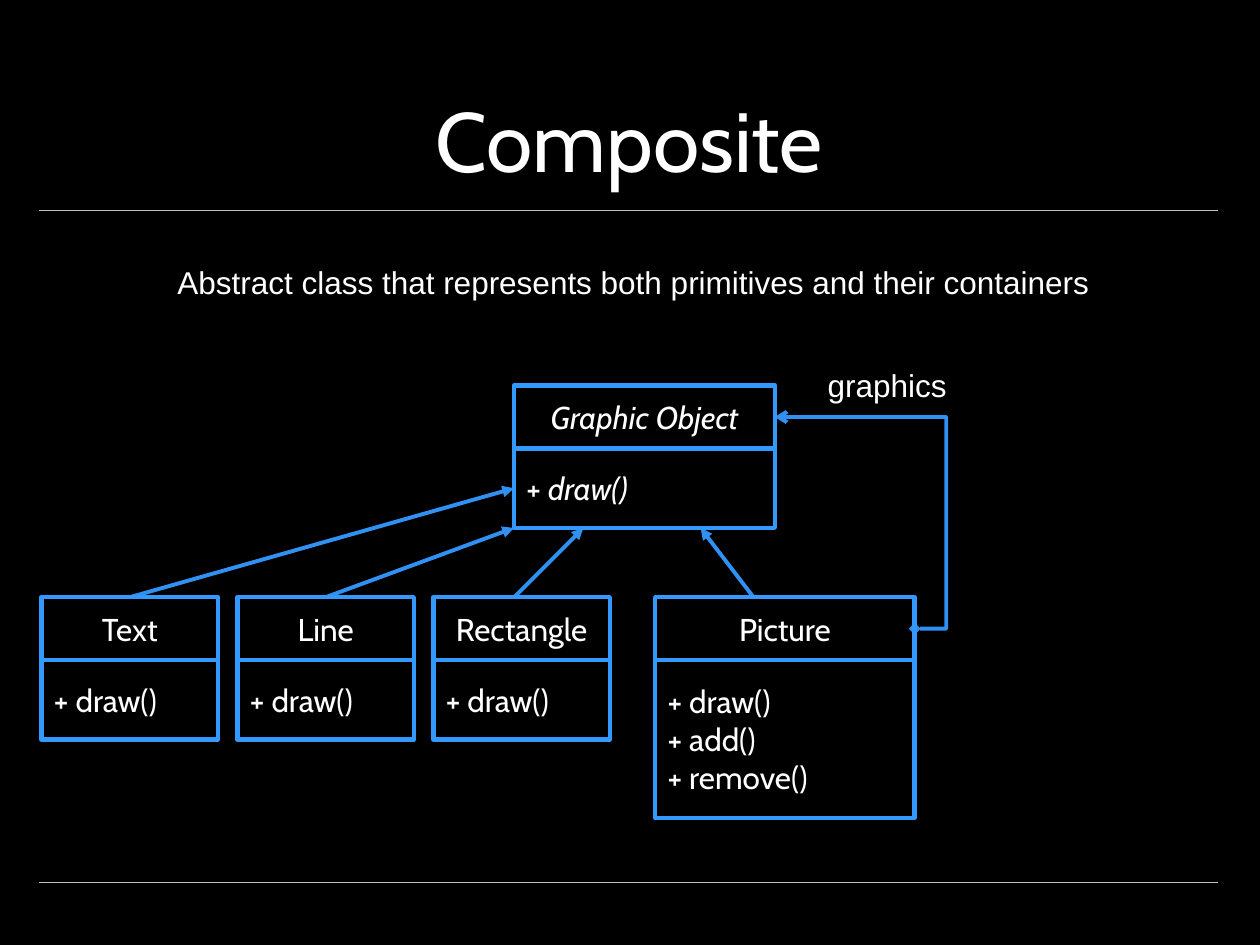
from lxml import etree
from pptx import Presentation
from pptx.dml.color import RGBColor
from pptx.enum.shapes import MSO_CONNECTOR, MSO_SHAPE
from pptx.enum.text import MSO_ANCHOR, MSO_AUTO_SIZE, PP_ALIGN
from pptx.oxml.ns import qn
from pptx.util import Inches, Pt

BLACK = RGBColor(0x00, 0x00, 0x00)
WHITE = RGBColor(0xFF, 0xFF, 0xFF)
GREY = RGBColor(0xBF, 0xBF, 0xBF)
BLUE = RGBColor(0x33, 0x99, 0xFF)
STRAIGHT, ELBOW = MSO_CONNECTOR.STRAIGHT, MSO_CONNECTOR.ELBOW
RECTANGLE = MSO_SHAPE.RECTANGLE
LEFT, CENTER = PP_ALIGN.LEFT, PP_ALIGN.CENTER
MIDDLE, BOTTOM = MSO_ANCHOR.MIDDLE, MSO_ANCHOR.BOTTOM
TOP_SIDE, LEFT_SIDE, RIGHT_SIDE = 0, 1, 3

NAME_H = 0.5
BODY_H = 0.63
CHILD_TOP = 4.74
CHILD_W = 1.4
CHILD_LEFT, CHILD_STEP = 0.33, 1.555
PARENT_BOTTOM = 4.19


class ClassDiagram:
    heading_font, label_font = "Cabin", "Arial"
    size = Pt(18)

    def __init__(self, prs):
        self.s = prs.slides.add_slide(prs.slide_layouts[5])
        fill = self.s.background.fill
        fill.solid()
        fill.fore_color.rgb = BLACK

    def font(self, p, name, size, italic=None):
        p.font.name, p.font.size, p.font.italic = name, size, italic
        p.font.color.rgb = WHITE

    def title(self, text, x, y, w, h):
        sp = self.s.shapes.title
        sp.left, sp.top, sp.width, sp.height = map(Inches, (x, y, w, h))
        tf = sp.text_frame
        tf.text = text
        tf.vertical_anchor = BOTTOM
        tf.paragraphs[0].alignment = CENTER
        self.font(tf.paragraphs[0], self.heading_font, Pt(48))

    def label(self, text, x, y, w, h=0.4):
        tf = self.s.shapes.add_textbox(*map(Inches, (x, y, w, h))).text_frame
        tf.word_wrap = False
        tf.auto_size = MSO_AUTO_SIZE.SHAPE_TO_FIT_TEXT
        tf.text = text
        self.font(tf.paragraphs[0], self.label_font, self.size)

    def box(self, lines, x, y, w, h, align):
        sp = self.s.shapes.add_shape(RECTANGLE, *map(Inches, (x, y, w, h)))
        sp.shadow.inherit = False
        sp.fill.background()
        sp.line.color.rgb = BLUE
        sp.line.width = Pt(2.5)
        tf = sp.text_frame
        tf.vertical_anchor = MIDDLE
        tf.text = "\n".join(lines)
        for p in tf.paragraphs:
            p.alignment = align
            self.font(p, self.heading_font, self.size)
        return sp

    def uml_class(self, name, methods, x, y, w, body_h=BODY_H, abstract=False):
        """Draw a class; return its name box and its method box."""
        top = self.box([name], x, y, w, NAME_H, CENTER)
        body = self.box([f"+ {m}" for m in methods], x, y + NAME_H, w, body_h, LEFT)
        if abstract:
            top.text_frame.paragraphs[0].font.italic = True
            for p, method in zip(body.text_frame.paragraphs, methods):
                p.runs[0].text = "+ "
                r = p.add_run()
                r.text = method
                r.font.italic = True
        return top, body

    def line(self, start, end, color, width, kind=STRAIGHT):
        cx = self.s.shapes.add_connector(kind, *map(Inches, (*start, *end)))
        etree.SubElement(cx._element.spPr, qn("a:effectLst"))
        cx.line.color.rgb = color
        cx.line.width = Pt(width)
        return cx

    def arrow(self, start, end, kind=STRAIGHT, head=None, tail="triangle"):
        cx = self.line(start, end, BLUE, 2.25, kind)
        ln = cx.line._get_or_add_ln()
        color = ln.find(qn("a:solidFill"))[0]
        etree.SubElement(color, qn("a:alpha"), val="95000")
        if head:
            etree.SubElement(ln, qn("a:headEnd"), type=head)
        etree.SubElement(ln, qn("a:tailEnd"), type=tail)
        return cx

    def loop(self, start, end, bend):
        """Draw an elbow that turns at the fraction bend of its width."""
        cx = self.arrow(start, end, ELBOW, "diamond", "arrow")
        guides = cx._element.spPr.find(qn("a:prstGeom")).find(qn("a:avLst"))
        etree.SubElement(guides, qn("a:gd"), name="adj1",
                         fmla=f"val {round(bend * 100000)}")
        return cx


def main():
    prs = Presentation()
    prs.slide_width, prs.slide_height = Inches(10), Inches(7.5)
    d = ClassDiagram(prs)

    for y in (1.67, 7):
        d.line((0.31, y), (9.67, y), GREY, 0.25)
    d.title("Composite", 0.7, 0.12, 8.59, 1.43)
    d.label("Abstract class that represents both primitives and their containers",
            1.31, 2.04, 7.53)

    parent, parent_body = d.uml_class("Graphic Object", ["draw()"], 4.08, 3.06, 2.07,
                                      abstract=True)
    picture, _ = d.uml_class("Picture", ["draw()", "add()", "remove()"],
                             5.2, CHILD_TOP, 2.06, body_h=1.25)
    text, line, _ = [
        d.uml_class(name, ["draw()"], CHILD_LEFT + i * CHILD_STEP, CHILD_TOP, CHILD_W)[0]
        for i, name in enumerate(("Text", "Line", "Rectangle"))]

    for start_x, end_x in ((4.08, 4.63), (5.98, 5.56)):
        d.arrow((start_x, CHILD_TOP), (end_x, PARENT_BOTTOM))
    d.arrow((2.58, CHILD_TOP), (4.08, PARENT_BOTTOM)).begin_connect(line, TOP_SIDE)
    inherit = d.arrow((1.03, CHILD_TOP), (4.08, 3.88))
    inherit.begin_connect(text, TOP_SIDE)
    inherit.end_connect(parent_body, LEFT_SIDE)

    d.label("graphics", 6.47, 2.86, 1.16)
    contains = d.loop((7.26, 4.99), (6.15, 3.31), bend=-0.226)
    contains.begin_connect(picture, RIGHT_SIDE)
    contains.end_connect(parent, RIGHT_SIDE)

    prs.save("out.pptx")


if __name__ == "__main__":
    main()
